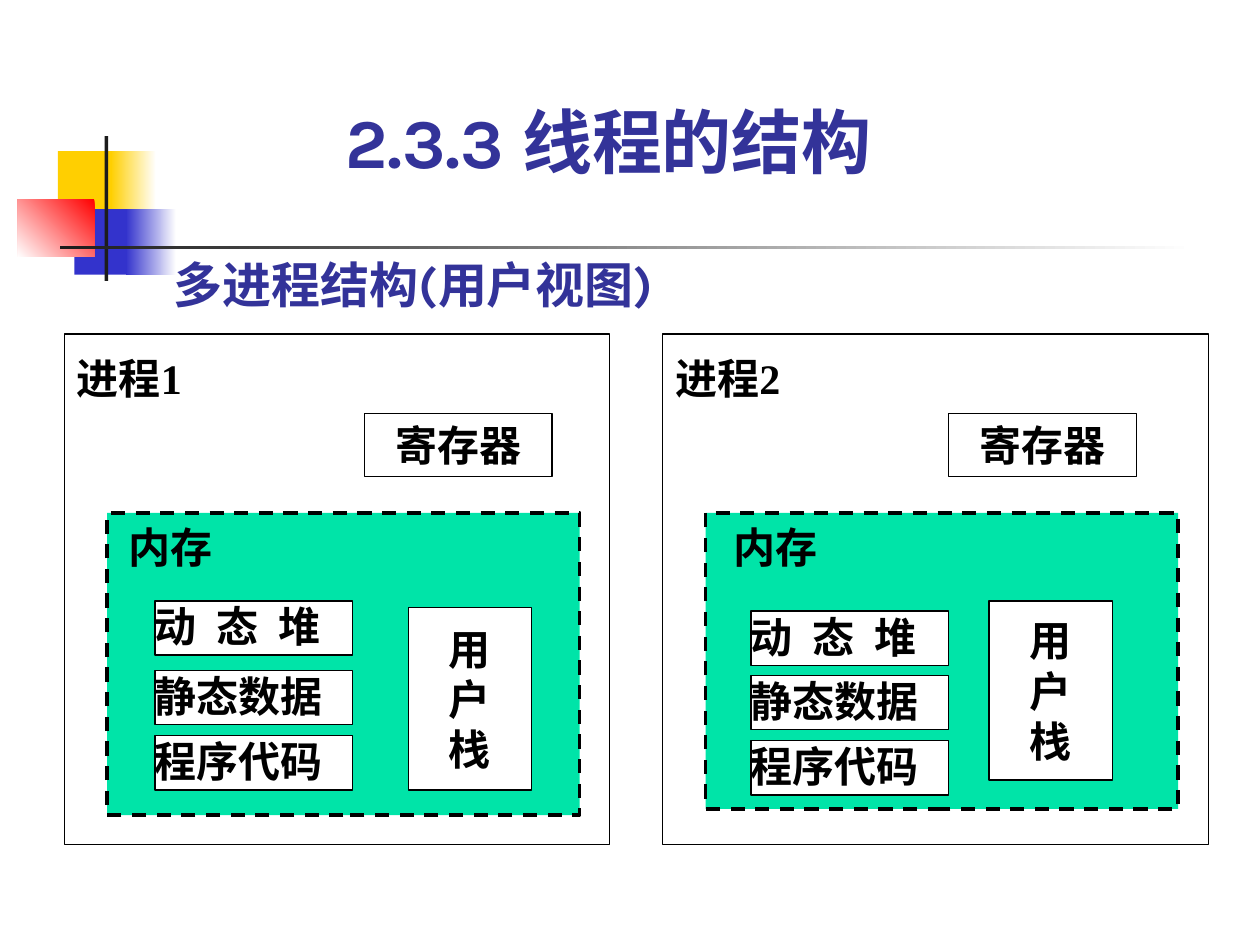
import pptx
import pptx.dml.color
import pptx.enum.dml
import pptx.enum.shapes
import pptx.enum.text
import pptx.util
from pptx.util import Inches

COLORS = {
    "white": "FFFFFF",
    "black": "000000",
    "title": "333399",
    "memory": "00E4A8",
    "yellow": "FFCF01",
    "blue": "3333CC",
    "red": "FF0000",
    "bar": "1C1C1C",
}
ANCHOR = pptx.enum.text.MSO_ANCHOR
ALIGN = pptx.enum.text.PP_ALIGN


def color(name):
    return pptx.dml.color.RGBColor.from_string(COLORS[name])


class SlideBuilder:
    def __init__(self, slide):
        self.slide = slide
        self.heading_font = "Karla"
        self.body_font = "Times New Roman"
        self.body_size = 24

    def box(self, left, top, width, height, fill="white", line_width=None, dashed=False):
        shape = self.slide.shapes.add_shape(
            pptx.enum.shapes.MSO_SHAPE.RECTANGLE,
            Inches(left), Inches(top), Inches(width), Inches(height))
        shape.shadow.inherit = False
        shape.fill.solid()
        shape.fill.fore_color.rgb = color(fill)
        if line_width:
            shape.line.color.rgb = color("black")
            shape.line.width = pptx.util.Pt(line_width)
            if dashed:
                shape.line.dash_style = pptx.enum.dml.MSO_LINE.DASH
        else:
            shape.line.fill.background()
        return shape

    def gradient_box(self, left, top, width, height, start, end, angle):
        """Blend from start to end; the angle runs counter-clockwise."""
        shape = self.box(left, top, width, height)
        shape.fill.gradient()
        shape.fill.gradient_angle = angle
        for stop, name in zip(shape.fill.gradient_stops, (start, end)):
            stop.color.rgb = color(name)

    def label(self, shape, lines, centered=False, wrap=True, spacing=0):
        """Put body text in a shape; spacing is extra points after each letter."""
        frame = shape.text_frame
        frame.word_wrap = wrap
        if centered:
            frame.vertical_anchor = ANCHOR.MIDDLE
        else:
            frame.vertical_anchor = ANCHOR.TOP
            self.clear_margins(frame)
        frame.text = "\n".join(lines)
        for paragraph in frame.paragraphs:
            paragraph.alignment = ALIGN.CENTER if centered else ALIGN.LEFT
            self.set_font(paragraph, self.body_font, self.body_size, "black")
            if spacing:
                for run in paragraph.runs:
                    run._r.get_or_add_rPr().set("spc", str(spacing * 100))

    def heading(self, left, top, width, height, text, size, anchor, margins=True):
        frame = self.slide.shapes.add_textbox(
            Inches(left), Inches(top), Inches(width), Inches(height)).text_frame
        frame.word_wrap = True
        frame.vertical_anchor = anchor
        if not margins:
            self.clear_margins(frame)
        frame.text = text
        self.set_font(frame.paragraphs[0], self.heading_font, size, "title")

    def process(self, left, name, register_left, memory_height, label_left,
                segment_left, segment_tops, stack_left, stack_top, stack_height):
        self.box(left, 2.65, 4.33, 4.05, line_width=0.75)
        self.label(self.box(left + 0.1, 2.8, 1.07, 0.4), [name])
        self.label(self.box(register_left, 3.28, 1.49, 0.5, line_width=0.75),
                   ["寄存器"], centered=True)
        self.box(left + 0.34, 4.07, 3.75, memory_height, "memory", 2, dashed=True)
        self.label(self.box(label_left, 4.14, 0.77, 0.4, "memory"), ["内存"])
        segments = (("动 态 堆", 3), ("静态数据", 0), ("程序代码", 0))
        for (text, spacing), top in zip(segments, segment_tops):
            segment = self.box(segment_left, top, 1.57, 0.43, line_width=0.75)
            self.label(segment, [text], spacing=spacing)
        stack = self.box(stack_left, stack_top, 0.98, stack_height, line_width=0.75)
        self.label(stack, "用户栈", centered=True, wrap=False)

    @staticmethod
    def clear_margins(frame):
        frame.margin_left = frame.margin_right = 0
        frame.margin_top = frame.margin_bottom = 0

    @staticmethod
    def set_font(paragraph, name, size, color_name):
        font = paragraph.font
        font.name = name
        font.size = pptx.util.Pt(size)
        font.bold = True
        font.color.rgb = color(color_name)


def main():
    presentation = pptx.Presentation()
    presentation.slide_width = Inches(10)
    presentation.slide_height = Inches(7.5)
    slide = presentation.slides.add_slide(presentation.slide_layouts[6])
    builder = SlideBuilder(slide)

    builder.box(0.46, 1.2, 0.48, 0.52, "yellow")
    builder.gradient_box(0.88, 1.2, 0.36, 0.52, "white", "yellow", 180)
    builder.box(0.59, 1.66, 0.46, 0.52, "blue")
    builder.gradient_box(1, 1.66, 0.4, 0.52, "white", "blue", 180)
    builder.gradient_box(0.14, 1.58, 0.61, 0.46, "red", "white", 225)
    builder.box(0.83, 1.08, 0.03, 1.15, "bar")
    builder.gradient_box(0.48, 1.95, 9, 0.03, "white", "bar", 180)

    builder.heading(2.64, 0.76, 4.72, 0.74, "2.3.3 线程的结构", 40, ANCHOR.BOTTOM)
    builder.heading(1.38, 2.02, 4.25, 0.47, "多进程结构(用户视图)", 28, ANCHOR.TOP,
                    margins=False)

    builder.process(0.51, "进程1", register_left=2.89, memory_height=2.4,
                    label_left=1.02, segment_left=1.23, segment_tops=(4.77, 5.32, 5.84),
                    stack_left=3.24, stack_top=4.82, stack_height=1.45)
    builder.process(5.26, "进程2", register_left=7.53, memory_height=2.35,
                    label_left=5.82, segment_left=5.96, segment_tops=(4.85, 5.36, 5.88),
                    stack_left=7.85, stack_top=4.77, stack_height=1.42)

    presentation.save("out.pptx")


if __name__ == "__main__":
    main()
